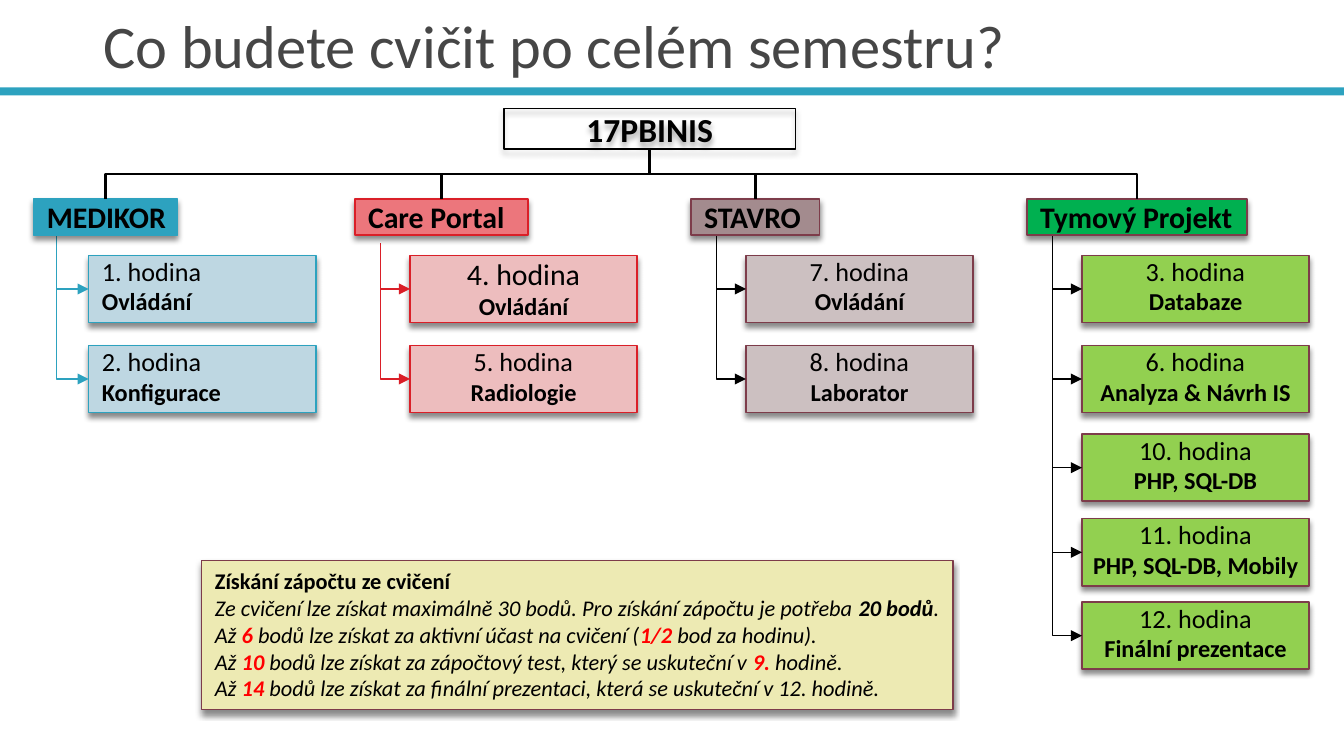
import pptx
import pptx.util
import pptx.dml.color
import pptx.enum.shapes
import pptx.enum.text
import pptx.oxml
import pptx.oxml.ns

Inches, Pt = pptx.util.Inches, pptx.util.Pt
SHAPE = pptx.enum.shapes.MSO_SHAPE
ALIGN = pptx.enum.text.PP_ALIGN
ANCHOR = pptx.enum.text.MSO_ANCHOR

COLORS = {
    "black": "000000", "title": "464646", "red": "FF0000",
    "teal": "2DA2BF", "pale_teal": "BED7E2",
    "crimson": "DA1F28", "rose": "EC767C", "pale_rose": "EDBDBE",
    "plum": "7D3C4A", "mauve": "A38B8E", "pale_mauve": "CCC0C1",
    "green": "00B050", "lime": "92D050", "cream": "EDEAB3",
}

TITLE = "Co budete cvičit po celém semestru?"
COURSE = "17PBINIS"
# Lessons: (hour, topic)
BRANCHES = [
    dict(name="MEDIKOR", left=0.25, width=1.07, spine_top=1.73, align=ALIGN.LEFT,
         head="teal", box="pale_teal", border="teal", arrow="teal", spine_indent=0.17,
         lessons=[("1. hodina", "Ovládání"), ("2. hodina", "Konfigurace")]),
    dict(name="Care Portal", left=2.64, width=1.29, spine_top=1.81, align=ALIGN.CENTER,
         head="rose", box="pale_rose", border="crimson", arrow="crimson", first_size=16,
         lessons=[("4. hodina", "Ovládání"), ("5. hodina", "Radiologie")]),
    dict(name="STAVRO", left=5.14, width=0.96, spine_top=1.73, align=ALIGN.CENTER,
         head="mauve", box="pale_mauve", border="plum", arrow="black",
         lessons=[("7. hodina", "Ovládání"), ("8. hodina", "Laborator")]),
    dict(name="Tymový Projekt", left=7.64, width=1.64, spine_top=1.73, align=ALIGN.CENTER,
         head="green", box="lime", border="plum", arrow="black",
         lessons=[("3. hodina", "Databaze"), ("6. hodina", "Analyza & Návrh IS"),
                  ("10. hodina", "PHP, SQL-DB"), ("11. hodina", "PHP, SQL-DB, Mobily"),
                  ("12. hodina", "Finální prezentace")]),
]
CREDIT_TITLE = "Získání zápočtu ze cvičení"
BOLD, RED = dict(bold=True), dict(bold=True, color="red")
CREDIT_RULES = [
    [("Ze cvičení lze získat maximálně 30 bodů. Pro získání zápočtu je potřeba ", {}),
     ("20 bodů", BOLD), (".", {})],
    [("Až ", {}), ("6 ", RED), ("bodů lze získat za aktivní účast na cvičení (", {}),
     ("1/2", RED), (" bod za hodinu).", {})],
    [("Až ", {}), ("10", RED),
     (" bodů lze získat za zápočtový test, který se uskuteční v ", {}),
     ("9.", RED), (" hodině.", {})],
    [("Až ", {}), ("14", RED),
     (" bodů lze získat za finální prezentaci, která se uskuteční v 12. hodině.", {})],
]

SLIDE_W = 10
SLIDE_H = SLIDE_W * 9 / 16
ROW_TOPS = [1.9, 2.57, 3.23, 3.86, 4.48]
BOX_W, BOX_H, BOX_INDENT = 1.69, 0.5, 0.41
MAX_ARROW_H = 1.08
HEAD_TOP, HEAD_H = 1.48, 0.27
ROOT = (3.75, 0.81, 2.17, 0.3)

prs = pptx.Presentation()
prs.slide_width, prs.slide_height = Inches(SLIDE_W), Inches(SLIDE_H)
slide = prs.slides.add_slide(prs.slide_layouts[6])


def rgb(name):
    return pptx.dml.color.RGBColor.from_string(COLORS[name])


def add_run(p, text, size=12, bold=False, italic=False, color="black"):
    r = p.add_run()
    r.text = text
    r.font.name, r.font.size = "Calibri", Pt(size)
    r.font.bold, r.font.italic = bold, italic
    r.font.color.rgb = rgb(color)


def add_paragraphs(s, lines, align=ALIGN.LEFT, wrap=False, inset=0, anchor=ANCHOR.TOP):
    """Fill a shape with lines, each a list of (text, format) runs."""
    tf = s.text_frame
    tf.word_wrap, tf.vertical_anchor = wrap, anchor
    tf.margin_top = tf.margin_bottom = Inches(inset)
    for i, runs in enumerate(lines):
        p = tf.add_paragraph() if i else tf.paragraphs[0]
        p.alignment = align
        for text, fmt in runs:
            add_run(p, text, **fmt)


def add_effects(s, content=""):
    s._element.spPr.append(pptx.oxml.parse_xml(
        f'<a:effectLst {pptx.oxml.ns.nsdecls("a")}>{content}</a:effectLst>'))


def add_box(at, fill, border, width=0.79, shadow=(45, 2.4)):
    """Rectangle with a soft shadow of (opacity percent, distance in points)."""
    s = slide.shapes.add_shape(SHAPE.RECTANGLE, *map(Inches, at))
    if fill:
        s.fill.solid()
        s.fill.fore_color.rgb = rgb(fill)
    else:
        s.fill.background()
    s.line.color.rgb, s.line.width = rgb(border), Pt(width)
    opacity, distance = shadow
    add_effects(s, f'<a:outerShdw blurRad="{Pt(3)}" dist="{Pt(distance)}" dir="5400000" '
                   f'rotWithShape="0"><a:srgbClr val="000000">'
                   f'<a:alpha val="{opacity * 1000}"/></a:srgbClr></a:outerShdw>')
    return s


def add_elbow(x1, y1, x2, y2, color, width, arrow=False):
    """Elbow that leaves downwards: one bend with an arrowhead, or two bends."""
    dx, dy = abs(x2 - x1), y2 - y1
    left, top = (x1 + x2 - dy) / 2, (y1 + y2 - dx) / 2
    s = slide.shapes.add_connector(
        pptx.enum.shapes.MSO_CONNECTOR.ELBOW,
        *map(Inches, (left, top, left + dy, top + dx)))
    s.line.color.rgb, s.line.width = rgb(color), Pt(width)
    sppr = s._element.spPr
    xfrm = sppr.find(pptx.oxml.ns.qn("a:xfrm"))
    to_right = x2 > x1
    xfrm.set("rot", str((270 if to_right else 90) * 60000))
    if to_right:
        xfrm.set("flipH", "1")
    if arrow:
        sppr.find(pptx.oxml.ns.qn("a:prstGeom")).set("prst", "bentConnector2")
        sppr.find(pptx.oxml.ns.qn("a:ln")).append(pptx.oxml.parse_xml(
            f'<a:tailEnd {pptx.oxml.ns.nsdecls("a")} type="triangle"/>'))
    add_effects(s)


def add_branch(name, left, width, spine_top, align, head, box, border, arrow, lessons,
               first_size=14, spine_indent=0.19):
    box_left, spine = left + BOX_INDENT, left + spine_indent
    for i, ((hour, topic), top) in enumerate(zip(lessons, ROW_TOPS)):
        s = add_box((box_left, top, BOX_W, BOX_H), box, border)
        add_paragraphs(s, [[(hour, dict(size=14 if i else first_size))],
                           [(topic, dict(size=13, bold=True))]], align)
        middle = top + BOX_H / 2
        add_elbow(spine, max(spine_top, middle - MAX_ARROW_H), box_left, middle,
                  arrow, 0.79, arrow=True)
    s = add_box((left, HEAD_TOP, width, HEAD_H), head, border)
    add_paragraphs(s, [[(name, dict(size=16, bold=True))]])
    add_elbow(ROOT[0] + ROOT[2] / 2, ROOT[1] + ROOT[3], left + width / 2, HEAD_TOP,
              "black", 1.5)


bar = slide.shapes.add_shape(SHAPE.RECTANGLE, *map(Inches, (0, 0.65, SLIDE_W, 0.06)))
bar.shadow.inherit = False
bar.fill.solid()
bar.fill.fore_color.rgb = rgb("teal")
bar.line.fill.background()

title = slide.shapes.add_textbox(*map(Inches, (0.67, 0.13, 8.92, 0.52)))
add_paragraphs(title, [[(TITLE, dict(size=32.4, color="title"))]],
               wrap=True, inset=0.05, anchor=ANCHOR.BOTTOM)

root = add_box(ROOT, None, "black", width=0.75, shadow=(35, 2))
add_paragraphs(root, [[(COURSE, dict(size=18, bold=True))]], ALIGN.CENTER, wrap=True)

for branch in BRANCHES:
    add_branch(**branch)

credit = add_box((1.5, 4.17, 5.59, 1.11), "cream", "plum")
rules = [[(text, dict(fmt, italic=True)) for text, fmt in line] for line in CREDIT_RULES]
add_paragraphs(credit, [[(CREDIT_TITLE, BOLD)]] + rules, wrap=True, inset=0.05)

prs.save("out.pptx")
